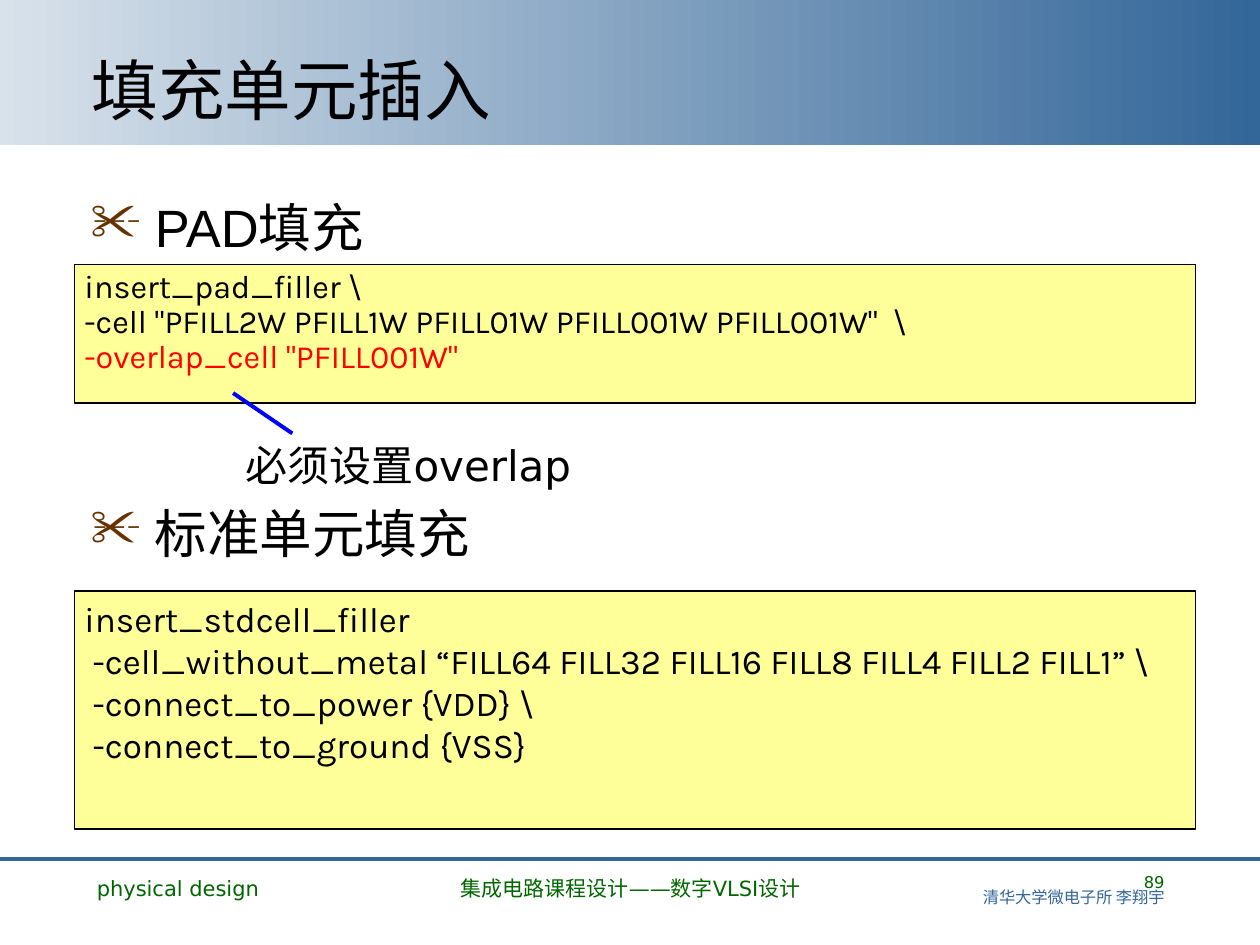
from pptx import Presentation
from pptx.dml.color import RGBColor as RGB
from pptx.enum.shapes import MSO_CONNECTOR as LINE, MSO_SHAPE as SHAPE
from pptx.enum.text import MSO_ANCHOR as ANCHOR, PP_ALIGN as ALIGN
from pptx.oxml.ns import qn
from pptx.util import Inches, Pt
from lxml.etree import SubElement

THEME = {
    "ink": "000000", "alert": "FF0000", "footer": "006600", "brand": "336699",
    "pale": "D8E2EB", "code_fill": "FFFF99", "bullet": "663300", "pointer": "0000FF",
    "sans": "DejaVu Sans", "heading_font": "Arial", "code_font": "Karla", "cjk": "Noto Sans CJK SC",
    "title_size": 38, "heading_size": 30, "callout_size": 24, "footer_size": 12, "page_size": 9.3,
}

TITLE = "填充单元插入"
HEADINGS = [("PAD填充", 1.5), ("标准单元填充", 3.93)]
CALLOUT = "必须设置overlap"
CODE_BLOCKS = [
    {"top": 2.1, "height": 1.1, "size": 18.5, "spacing": 0.9, "lines": [
        ("insert_pad_filler \\", "ink"),
        ('-cell "PFILL2W PFILL1W PFILL01W PFILL001W PFILL001W"  \\', "ink"),
        ('-overlap_cell "PFILL001W"', "alert"),
    ]},
    {"top": 4.69, "height": 1.89, "size": 20, "spacing": 1.0, "lines": [
        ("insert_stdcell_filler", "ink"),
        (" -cell_without_metal “FILL64 FILL32 FILL16 FILL8 FILL4 FILL2 FILL1” \\", "ink"),
        (" -connect_to_power {VDD} \\", "ink"),
        (" -connect_to_ground {VSS}", "ink"),
    ]},
]
FOOTERS = [
    (0.67, 2.17, ALIGN.LEFT, "physical design"),
    (3.42, 3.17, ALIGN.CENTER, "集成电路课程设计——数字VLSI设计"),
]
PAGE_LINES = [("89", "footer", "sans"), ("清华大学微电子所 李翔宇", "brand", "cjk")]


def color(name):
    return RGB.from_string(THEME[name])


def write(paragraph, text, size, tint="ink", font="sans", east_asian="sans", **layout):
    run = paragraph.add_run()
    run.text = text
    for key, value in {"name": THEME[font], "size": Pt(size)}.items():
        setattr(run.font, key, value)
    run.font.color.rgb = color(tint)
    SubElement(run.font._element, qn("a:ea"), typeface=THEME[east_asian])
    for key, value in layout.items():
        setattr(paragraph, key, value)


def text_frame(slide, left, top, width, height, **layout):
    frame = slide.shapes.add_textbox(*map(Inches, (left, top, width, height))).text_frame
    for key, value in {"word_wrap": True, **layout}.items():
        setattr(frame, key, value)
    return frame


def add_rectangle(slide, left, top, width, height):
    rectangle = slide.shapes.add_shape(SHAPE.RECTANGLE, *map(Inches, (left, top, width, height)))
    rectangle.shadow.inherit = False
    return rectangle


def add_line(slide, start, end, tint):
    line = slide.shapes.add_connector(LINE.STRAIGHT, *map(Inches, (*start, *end)))
    line.line.color.rgb = color(tint)
    line.line.width = Pt(2.25)
    SubElement(line._element.spPr, qn("a:effectLst"))


def add_banner(slide):
    banner = add_rectangle(slide, 0, 0, 10, 1.15)
    banner.line.fill.background()
    banner.fill.gradient()
    banner.fill.gradient_angle = 0
    for stop, tint in zip(banner.fill.gradient_stops, ("pale", "brand")):
        stop.color.rgb = color(tint)


def add_heading(slide, text, top):
    paragraph = text_frame(slide, 0.62, top, 8.75, 0.6).paragraphs[0]
    properties = paragraph._p.get_or_add_pPr()
    for key, inches in {"marL": 0.51, "indent": -0.51}.items():
        properties.set(key, str(Inches(inches)))
    bullet_color = SubElement(properties, qn("a:buClr"))
    SubElement(bullet_color, qn("a:srgbClr"), val=THEME["bullet"])
    SubElement(properties, qn("a:buChar"), char="✂")
    write(paragraph, text, THEME["heading_size"], font="heading_font")


def add_code(slide, block):
    panel = add_rectangle(slide, 0.59, block["top"], 8.9, block["height"])
    panel.fill.solid()
    panel.fill.fore_color.rgb = color("code_fill")
    panel.line.color.rgb = color("ink")
    panel.line.width = Pt(0.75)
    frame = panel.text_frame
    layout = {"word_wrap": True, "vertical_anchor": ANCHOR.TOP,
              "margin_left": Inches(0.08), "margin_right": Inches(0.06)}
    for key, value in layout.items():
        setattr(frame, key, value)
    for index, (code, tint) in enumerate(block["lines"]):
        paragraph = frame.add_paragraph() if index else frame.paragraphs[0]
        write(paragraph, code, block["size"], tint, "code_font",
              alignment=ALIGN.LEFT, line_spacing=block["spacing"])


def add_footer(slide):
    add_line(slide, (0, 6.82), (10, 6.82), "brand")
    for left, width, alignment, text in FOOTERS:
        frame = text_frame(slide, left, 6.9, width, 0.45)
        write(frame.paragraphs[0], text, THEME["footer_size"], "footer", alignment=alignment)
    frame = text_frame(slide, 7.17, 6.9, 2.17, 0.45)
    for index, (text, tint, font) in enumerate(PAGE_LINES):
        paragraph = frame.add_paragraph() if index else frame.paragraphs[0]
        write(paragraph, text, THEME["page_size"], tint, font, font,
              alignment=ALIGN.RIGHT, line_spacing=0.8)


def main():
    """Build the filler cell insertion slide."""
    deck = Presentation()
    deck.slide_width, deck.slide_height = Inches(10), Inches(7.5)
    slide = deck.slides.add_slide(deck.slide_layouts[6])
    add_banner(slide)
    add_footer(slide)
    title = text_frame(slide, 0.63, 0.33, 8.75, 0.74, vertical_anchor=ANCHOR.BOTTOM)
    write(title.paragraphs[0], TITLE, THEME["title_size"])
    for text, top in HEADINGS:
        add_heading(slide, text, top)
    for block in CODE_BLOCKS:
        add_code(slide, block)
    callout = text_frame(slide, 1.85, 3.44, 3.62, 0.5)
    write(callout.paragraphs[0], CALLOUT, THEME["callout_size"])
    add_line(slide, (1.85, 3.12), (2.32, 3.44), "pointer")
    deck.save("out.pptx")


if __name__ == "__main__":
    main()
